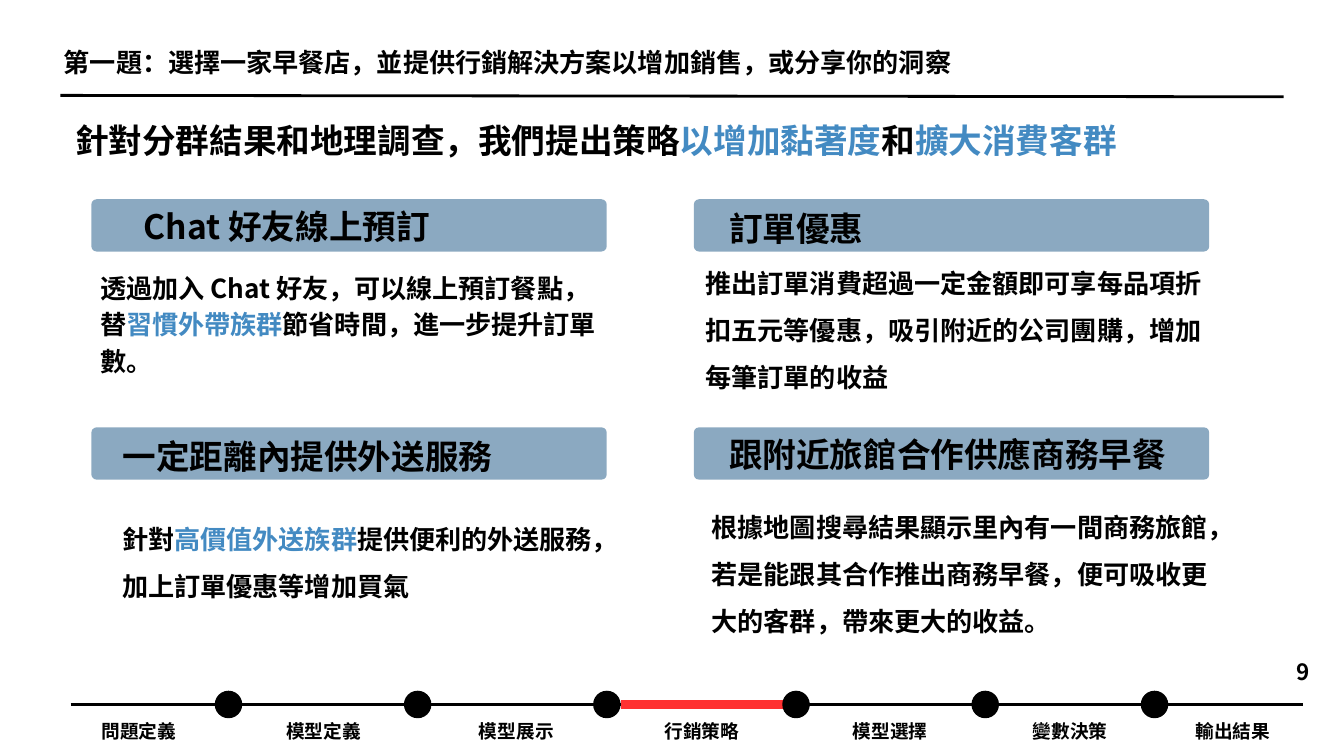
"""Build the breakfast shop marketing strategy slide."""
from lxml.etree import SubElement
from pptx import Presentation
from pptx.dml.color import RGBColor
from pptx.enum.shapes import MSO_CONNECTOR as Connector, MSO_SHAPE as Shape
from pptx.enum.text import PP_ALIGN as Align
from pptx.oxml.ns import qn
from pptx.util import Pt

BLACK = RGBColor(0x00, 0x00, 0x00)
BLUE = RGBColor(0x43, 0x8A, 0xC2)
NAVY = RGBColor(0x19, 0x55, 0x84)
RED = RGBColor(0xFF, 0x31, 0x31)

AXIS_Y = 754.8
DOT = 29.5
STEP_WIDTH = 139
BANNER_WIDTH, BANNER_HEIGHT = 552.2, 56


class Deck:
    """Style and current slide, with one method per kind of element."""

    font = "Noto Sans CJK JP"

    def __init__(self, slide):
        self.shapes = slide.shapes

    def text(self, content, left, top, width, height, size=28, leading=50.4,
             align=Align.LEFT):
        """Add a bold text box; content is a string or (words, colour) pairs."""
        frame = self.shapes.add_textbox(Pt(left), Pt(top), Pt(width), Pt(height)).text_frame
        frame.word_wrap = True
        frame.margin_left = frame.margin_right = frame.margin_top = frame.margin_bottom = 0
        line = frame.paragraphs[0]
        line.alignment = align
        line.line_spacing = Pt(leading)
        pieces = [(content, BLACK)] if isinstance(content, str) else content
        for words, colour in pieces:
            run = line.add_run()
            run.text = words
            run.font.size = Pt(size)
            run.font.bold = True
            run.font.color.rgb = colour
            run.font.name = self.font
            SubElement(run.font._element, qn("a:ea"), typeface=self.font)

    def line(self, x1, y1, x2, y2, colour=BLACK, weight=3):
        """Add a straight line."""
        rule = self.shapes.add_connector(Connector.STRAIGHT, Pt(x1), Pt(y1), Pt(x2), Pt(y2))
        rule.line.color.rgb = colour
        rule.line.width = Pt(weight)
        SubElement(rule._element.spPr, qn("a:effectLst"))

    def filled(self, kind, left, top, width, height, colour):
        """Add a borderless preset shape."""
        shape = self.shapes.add_shape(kind, Pt(left), Pt(top), Pt(width), Pt(height))
        shape.shadow.inherit = False
        shape.fill.solid()
        shape.fill.fore_color.rgb = colour
        shape.line.fill.background()
        return shape

    def dot(self, x):
        """Add a milestone dot centred on the timeline."""
        self.filled(Shape.OVAL, x - DOT / 2, AXIS_Y - DOT / 2, DOT, DOT, BLACK)

    def banner(self, left, top):
        """Add a half-transparent rounded heading bar."""
        bar = self.filled(Shape.ROUNDED_RECTANGLE, left, top, BANNER_WIDTH, BANNER_HEIGHT, NAVY)
        bar.adjustments[0] = 0.1
        tint = bar._element.spPr.find(qn("a:solidFill"))[0]
        SubElement(tint, qn("a:alpha"), val="50000")


def main():
    """Compose and save the slide."""
    show = Presentation()
    show.slide_width, show.slide_height = Pt(1440), Pt(810)
    deck = Deck(show.slides.add_slide(show.slide_layouts[6]))

    milestones = [244.8 + 202.7 * i for i in range(5)] + [1237]
    deck.line(75.6, AXIS_Y, 1396, AXIS_Y)
    deck.line(milestones[2] + DOT / 2, AXIS_Y, milestones[3], AXIS_Y, RED, 10.5)
    for x in milestones:
        deck.dot(x)
    steps = {"問題定義": 79.2, "模型定義": 277.2, "模型展示": 483.8, "行銷策略": 682.6,
             "模型選擇": 884.2, "變數決策": 1077.1, "輸出結果": 1251.4}
    for step, left in steps.items():
        deck.text(step, left, 766.8, STEP_WIDTH, 26.6, size=20, leading=28, align=Align.CENTER)

    deck.line(64.8, 102.2, 1375.2, 103.7)
    deck.text("第一題：選擇一家早餐店，並提供行銷解決方案以增加銷售，或分享你的洞察",
              68.4, 43.9, 1200, 39, leading=39.2)
    deck.text([("針對分群結果和地理調查，我們提出策略", BLACK), ("以增加黏著度", BLUE),
               ("和", BLACK), ("擴大消費客群", BLUE)], 80.6, 121, 1214.6, 49, size=36)

    columns, rows = (97.9, 743.4), (213.5, 457.9)
    strategies = [
        (0, 0, "Chat 好友線上預訂", (131, 213.8, 352.8, 49), Align.CENTER,
         [("透過加入 Chat 好友，可以線上預訂餐點，替", BLACK), ("習慣外帶族群", BLUE),
          ("節省時間，進一步提升訂單數。", BLACK)], (107.3, 285.8, 543, 116.6), 39.2),
        (1, 0, "訂單優惠", (781.2, 215.3, 172.8, 47.5), Align.LEFT,
         "推出訂單消費超過一定金額即可享每品項折扣五元等優惠，吸引附近的公司團購，增加每筆訂單的收益",
         (756, 269.3, 533.5, 147.6), 50.4),
        (0, 1, "一定距離內提供外送服務", (131, 459.4, 397, 49), Align.CENTER,
         [("針對", BLACK), ("高價值外送族群", BLUE),
          ("提供便利的外送服務，加上訂單優惠等增加買氣", BLACK)], (131, 543.6, 533.5, 97.2), 50.4),
        (1, 1, "跟附近旅館合作供應商務早餐", (781.2, 457.9, 487.4, 49), Align.LEFT,
         "根據地圖搜尋結果顯示里內有一間商務旅館，若是能跟其合作推出商務早餐，便可吸收更大的客群，帶來更大的收益。",
         (762.5, 530.6, 533.5, 147.6), 50.4),
    ]
    for column, row, heading, heading_box, align, detail, detail_box, leading in strategies:
        deck.banner(columns[column], rows[row])
        deck.text(heading, *heading_box, size=36, align=align)
        deck.text(detail, *detail_box, leading=leading)

    deck.text("9", 1388.9, 700.6, 13.7, 32.4, size=24, leading=33.6, align=Align.CENTER)
    show.save("out.pptx")


if __name__ == "__main__":
    main()
